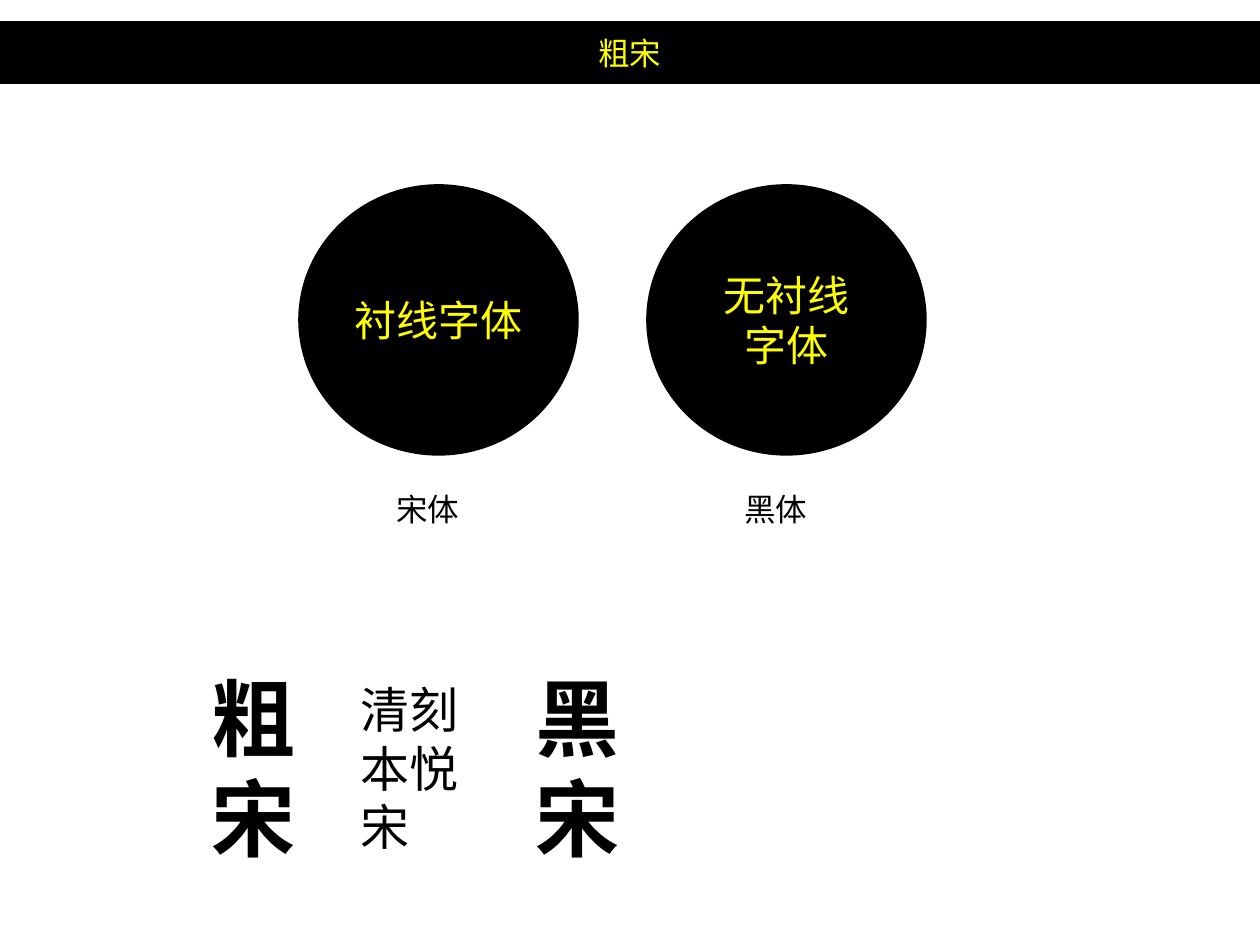
from pptx import Presentation
from pptx import util as u
from pptx.dml.color import RGBColor
from pptx.enum import shapes, text

PX = 914400 // 126
BLACK, YELLOW = "000000", "FFFF00"
SERIF, SANS = "Calibri", "Noto Sans CJK SC"

BANNER = ("粗宋", (0, 23, 1260, 59))
CLASSES = [
    (["衬线字体"], "宋体", SERIF),
    (["无衬线", "字体"], "黑体", SANS),
]
SAMPLES = [
    ("粗宋", 199, 660, 217, 48, True),
    ("清刻本悦宋", 348, 673, 190, 28, False),
    ("黑宋", 523, 660, 217, 48, True),
]
CIRCLE_LEFT, CIRCLE_TOP, CIRCLE_STEP = 300, 186, 348
CIRCLE_WIDTH, CIRCLE_HEIGHT = 277, 268
LABEL_INDENT, LABEL_TOP, LABEL_WIDTH, LABEL_HEIGHT = 84, 484, 110, 50
SAMPLE_WIDTH = 129


def rgb(value):
    return RGBColor.from_string(value)


def write(shape, lines, size=18, font=SERIF, color=BLACK, bold=False,
          align=text.PP_ALIGN.LEFT, anchor=text.MSO_ANCHOR.TOP):
    frame = shape.text_frame
    frame.word_wrap = True
    frame.vertical_anchor = anchor
    frame.text = "\n".join(lines)
    for paragraph in frame.paragraphs:
        paragraph.alignment = align
        for run in paragraph.runs:
            run.font.size = u.Pt(size)
            run.font.name = font
            run.font.bold = bold
            run.font.color.rgb = rgb(color)


def add_black_shape(slide, kind, box, lines, **style):
    shape = slide.shapes.add_shape(kind, *(n * PX for n in box))
    shape.shadow.inherit = False
    shape.fill.solid()
    shape.fill.fore_color.rgb = rgb(BLACK)
    shape.line.color.rgb = rgb(BLACK)
    shape.line.width = u.Pt(2)
    write(shape, lines, color=YELLOW, align=text.PP_ALIGN.CENTER,
          anchor=text.MSO_ANCHOR.MIDDLE, **style)


def add_text(slide, box, line, **style):
    shape = slide.shapes.add_textbox(*(n * PX for n in box))
    write(shape, [line], **style)
    shape.text_frame.auto_size = text.MSO_AUTO_SIZE.SHAPE_TO_FIT_TEXT


def main():
    """Build the slide that contrasts serif and sans-serif Chinese typefaces."""
    presentation = Presentation()
    presentation.slide_width = u.Inches(10)
    presentation.slide_height = u.Inches(7.5)
    slide = presentation.slides.add_slide(presentation.slide_layouts[6])

    for index, (lines, label, font) in enumerate(CLASSES):
        left = CIRCLE_LEFT + index * CIRCLE_STEP
        circle = (left, CIRCLE_TOP, CIRCLE_WIDTH, CIRCLE_HEIGHT)
        add_black_shape(slide, shapes.MSO_SHAPE.OVAL, circle, lines, size=24, font=font)
        caption = (left + LABEL_INDENT, LABEL_TOP, LABEL_WIDTH, LABEL_HEIGHT)
        add_text(slide, caption, label, font=font)

    for sample, left, top, height, size, bold in SAMPLES:
        add_text(slide, (left, top, SAMPLE_WIDTH, height), sample, size=size, bold=bold)

    title, box = BANNER
    add_black_shape(slide, shapes.MSO_SHAPE.RECTANGLE, box, [title], font=SANS)
    presentation.save("out.pptx")


if __name__ == "__main__":
    main()
